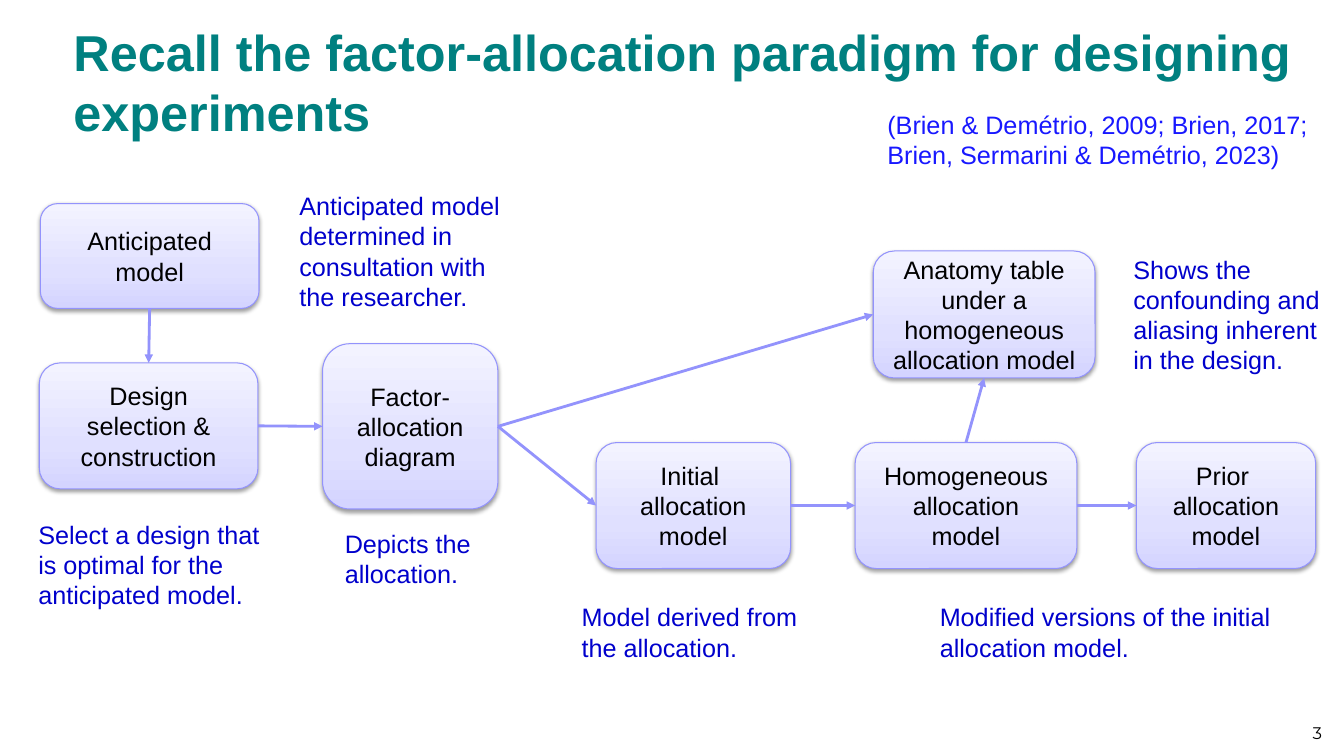
from copy import deepcopy
from dataclasses import dataclass

from lxml import etree
from pptx import Presentation
from pptx.dml.color import RGBColor
from pptx.enum.shapes import MSO_CONNECTOR, MSO_SHAPE
from pptx.enum.text import MSO_ANCHOR, PP_ALIGN
from pptx.oxml.ns import qn
from pptx.util import Inches, Pt

ROUNDED = MSO_SHAPE.ROUNDED_RECTANGLE
STRAIGHT = MSO_CONNECTOR.STRAIGHT
TOP, MIDDLE, BOTTOM = MSO_ANCHOR.TOP, MSO_ANCHOR.MIDDLE, MSO_ANCHOR.BOTTOM
LEFT, CENTER, RIGHT = PP_ALIGN.LEFT, PP_ALIGN.CENTER, PP_ALIGN.RIGHT
TOP_SIDE, LEFT_SIDE, BOTTOM_SIDE, RIGHT_SIDE = range(4)
SLIDE_WIDTH, SLIDE_HEIGHT = Inches(13.33), Inches(7.5)
COLUMN, ROW = SLIDE_WIDTH / 40, SLIDE_HEIGHT / 30


@dataclass(frozen=True)
class Theme:
    """Colours, fonts and type sizes of the slide."""
    font: str = "Arial"
    number_font: str = "Montserrat"
    title: str = "008080"
    citation: str = "1818FF"
    note: str = "0000CC"
    ink: str = "000000"
    outline: str = "9393FC"
    gradient: tuple = ((0, "D4D4FF"), (0.35, "E0E0FF"), (1, "F3F3FF"))
    title_size: int = 36
    body_size: int = 18
    number_size: int = 12


THEME = Theme()

STAGES = {
    "anticipated": ((1.2, 8.08, 6.51, 4.16), "Anticipated\nmodel"),
    "design": ((1.17, 14.4, 6.51, 5), "Design selection &\nconstruction"),
    "diagram": ((9.6, 13.64, 5.22, 6.56), "Factor-allocation diagram"),
    "anatomy": ((25.99, 9.96, 6.6, 5.04),
                "Anatomy table under a\nhomogeneous allocation model"),
    "initial": ((17.74, 17.56, 5.79, 5), "Initial \nallocation model"),
    "homogeneous": ((25.45, 17.56, 6.6, 5), "Homogeneous allocation\nmodel"),
    "prior": ((33.82, 17.56, 5.34, 5), "Prior \nallocation model"),
}

FLOWS = (
    ("anticipated", BOTTOM_SIDE, "design", TOP_SIDE),
    ("design", RIGHT_SIDE, "diagram", LEFT_SIDE),
    ("diagram", RIGHT_SIDE, "anatomy", LEFT_SIDE),
    ("diagram", RIGHT_SIDE, "initial", LEFT_SIDE),
    ("initial", RIGHT_SIDE, "homogeneous", LEFT_SIDE),
    ("homogeneous", RIGHT_SIDE, "prior", LEFT_SIDE),
    ("homogeneous", TOP_SIDE, "anatomy", BOTTOM_SIDE),
)

NOTES = (
    ((8.52, 7.28, 7.38, 5.8),
     "Anticipated model determined in consultation with the researcher."),
    ((0.75, 20.32, 7.44, 4.72),
     "Select a design that is optimal for the anticipated model."),
    ((9.87, 20.68, 4.68, 3), "Depicts the allocation."),
    ((33.34, 9.8, 6.48, 4.84),
     "Shows the confounding and aliasing inherent in the design."),
    ((16.92, 23.6, 7.56, 3.12), "Model derived from the allocation."),
    ((27.58, 23.6, 10.86, 3),
     "Modified versions of the initial allocation model."),
)


def on_grid(cells):
    """Turn left, top, width and height in cells into slide lengths."""
    left, top, width, height = cells
    return (round(left * COLUMN), round(top * ROW),
            round(width * COLUMN), round(height * ROW))


def write(shape, wording, color, size, font=THEME.font, bold=False,
          align=LEFT, anchor=TOP, inset=(0.13, 0.07)):
    """Fill a shape with wrapped, formatted text."""
    frame = shape.text_frame
    frame.text = wording
    frame.word_wrap = True
    frame.vertical_anchor = anchor
    frame.margin_left = frame.margin_right = Inches(inset[0])
    frame.margin_top = frame.margin_bottom = Inches(inset[1])
    for paragraph in frame.paragraphs:
        paragraph.alignment = align
        for run in paragraph.runs:
            run.font.name = font
            run.font.size = Pt(size)
            run.font.bold = bold
            run.font.color.rgb = RGBColor.from_string(color)


def add_label(slide, cells, wording, color, size, **style):
    """Add a text box placed on the grid."""
    label = slide.shapes.add_textbox(*on_grid(cells))
    write(label, wording, color, size, **style)


def shade(stage):
    """Give a stage its upward gradient and soft drop shadow."""
    stage.fill.gradient()
    stage.fill.gradient_angle = 90
    properties = stage._element.spPr
    first_stop = properties.find(".//" + qn("a:gs"))
    first_stop.addnext(deepcopy(first_stop))
    for stop, (position, color) in zip(stage.fill.gradient_stops, THEME.gradient):
        stop.position = position
        stop.color.rgb = RGBColor.from_string(color)
    stage.shadow.inherit = False
    shadow = etree.SubElement(
        properties.find(qn("a:effectLst")), qn("a:outerShdw"),
        blurRad=str(Pt(3.1)), dist=str(Pt(1.6)), dir="5400000", rotWithShape="0")
    tint = etree.SubElement(shadow, qn("a:srgbClr"), val=THEME.ink)
    etree.SubElement(tint, qn("a:alpha"), val="38000")


def add_stage(slide, cells, wording):
    """Add one rounded box of the flow and return it."""
    stage = slide.shapes.add_shape(ROUNDED, *on_grid(cells))
    shade(stage)
    stage.line.color.rgb = RGBColor.from_string(THEME.outline)
    stage.line.width = Pt(0.75)
    write(stage, wording, THEME.ink, THEME.body_size, align=CENTER, anchor=MIDDLE)
    return stage


def add_flow(slide, source, source_side, target, target_side):
    """Join two stages with an arrow."""
    flow = slide.shapes.add_connector(STRAIGHT, 0, 0, 0, 0)
    flow.begin_connect(source, source_side)
    flow.end_connect(target, target_side)
    flow.line.color.rgb = RGBColor.from_string(THEME.outline)
    flow.line.width = Pt(2)
    etree.SubElement(flow.line._get_or_add_ln(), qn("a:tailEnd"), type="triangle")
    etree.SubElement(flow._element.spPr, qn("a:effectLst"))


def main():
    """Build the slide and save it."""
    deck = Presentation()
    deck.slide_width, deck.slide_height = SLIDE_WIDTH, SLIDE_HEIGHT
    slide = deck.slides.add_slide(deck.slide_layouts[6])
    add_label(slide, (1.89, 0.8, 37.81, 4.84),
              "Recall the factor-allocation paradigm for designing experiments",
              THEME.title, THEME.title_size, bold=True, anchor=MIDDLE,
              inset=(0.1, 0.05))
    add_label(slide, (30.31, 27.68, 9.33, 2), "3", THEME.ink, THEME.number_size,
              font=THEME.number_font, align=RIGHT, anchor=BOTTOM,
              inset=(0.1, 0.05))
    for cells, wording in NOTES:
        add_label(slide, cells, wording, THEME.note, THEME.body_size)
    add_label(slide, (26.02, 4.04, 13.47, 3.16),
              "(Brien & Demétrio, 2009; Brien, 2017;\n"
              "Brien, Sermarini & Demétrio, 2023)",
              THEME.citation, THEME.body_size)
    stages = {name: add_stage(slide, *content) for name, content in STAGES.items()}
    for source, source_side, target, target_side in FLOWS:
        add_flow(slide, stages[source], source_side, stages[target], target_side)
    deck.save("out.pptx")


if __name__ == "__main__":
    main()
